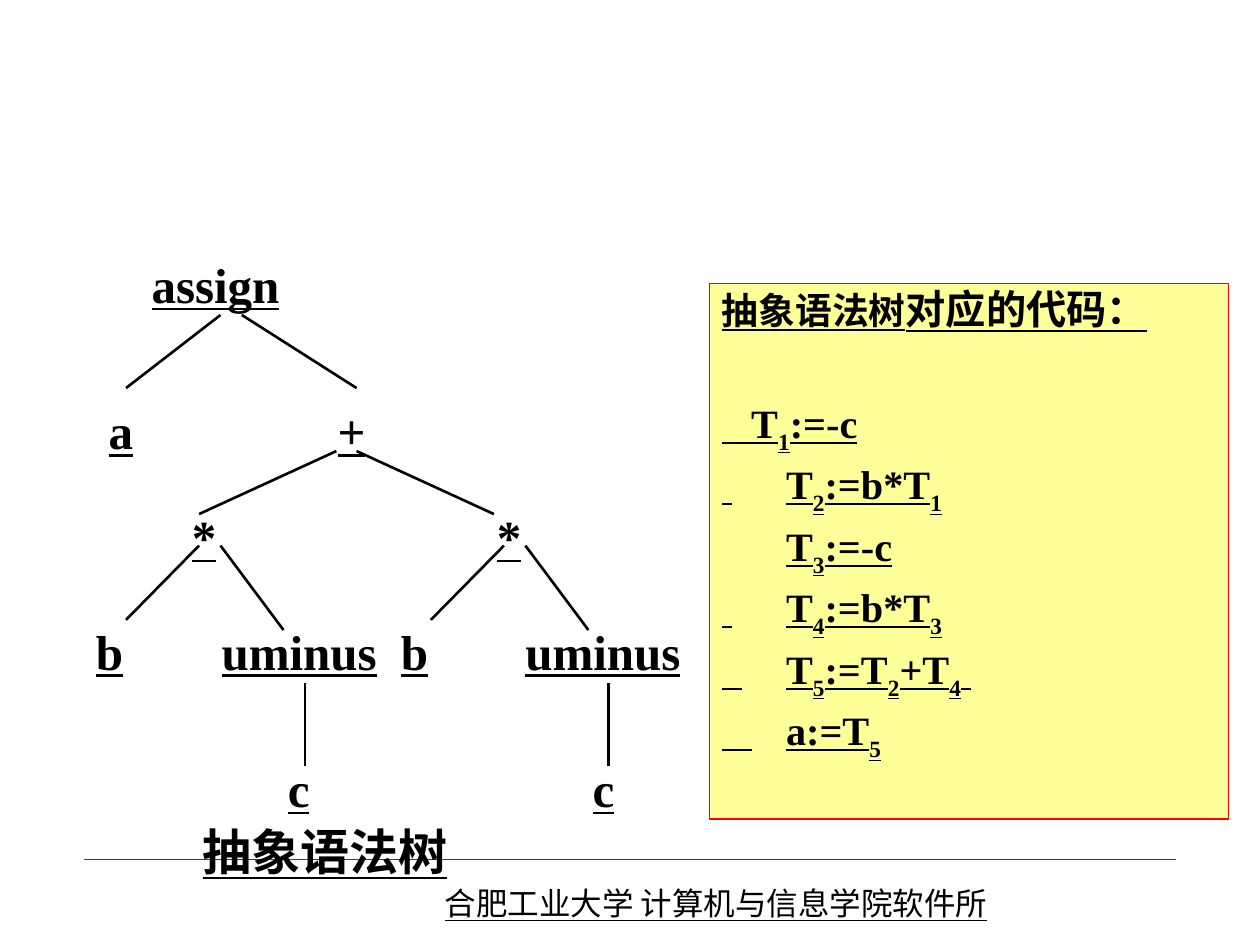
from lxml import etree
from pptx import Presentation
from pptx import util as u
from pptx.dml.color import RGBColor
from pptx.enum import shapes, text
from pptx.oxml.ns import qn

BLACK = RGBColor(0, 0, 0)
RED = RGBColor(0xFF, 0, 0)
RULE = RGBColor(0xCC, 0, 0)
YELLOW = RGBColor(0xFF, 0xFF, 0x99)
SERIF, HAN = "Times New Roman", "Noto Sans CJK SC"

# The grid has 12 units to the inch; nodes are (label, left, top[, width])
UNIT = 1 / 12
NODE_W, NODE_H = 13, 8
TOP = [("assign", 14, 23), ("a", 5, 37), ("+", 27, 37)]
TOP_EDGES = [(21, 30, 12, 37), (23, 30, 34, 37),
             (32, 43, 19, 49), (34, 43, 47, 49)]
# The product subtree stands twice, one step apart
STEP = 29
SUB = [("*", 13, 47), ("b", 4, 58), ("uminus", 20.5, 58, 16), ("c", 22, 71)]
SUB_EDGES = [(19, 52, 12, 59), (21, 52, 27, 60), (29, 65, 29, 73)]

CAPTION = ("抽象语法树", 19, 77, 24)
HEAD = [("抽象语法树", 21), ("对应的代码：", 23)]
# An underscore marks the next character as a subscript
CODE = ["   T_1:=-c", " \tT_2:=b*T_1", "\tT_3:=-c", " \tT_4:=b*T_3",
        "  \tT_5:=T_2+T_4 ", "   \ta:=T_5"]
FOOT = "合肥工业大学 计算机与信息学院软件所"

deck = Presentation()
deck.slide_width, deck.slide_height = u.Inches(10), u.Inches(7.5)
page = deck.slides.add_slide(deck.slide_layouts[6])


def grid(*units):
    return [u.Inches(round(n * UNIT, 2)) for n in units]


def add_run(para, words, size, face=SERIF, bold=True, sub=False):
    run = para.add_run()
    run.text = words
    font = run.font
    font.name, font.size, font.bold = face, u.Pt(size), bold
    font.underline = True
    font.color.rgb = BLACK
    props = run._r.get_or_add_rPr()
    etree.SubElement(props, qn("a:ea")).set("typeface", HAN)
    if sub:
        props.set("baseline", "-30000")


def add_line(ends, color=BLACK, width=1.5):
    line = page.shapes.add_connector(shapes.MSO_CONNECTOR.STRAIGHT, *grid(*ends))
    line.line.color.rgb = color
    line.line.width = u.Pt(width)
    etree.SubElement(line._element.spPr, qn("a:effectLst"))


def add_label(words, left, top, width=NODE_W):
    box = page.shapes.add_textbox(*grid(left, top, width, NODE_H))
    frame = box.text_frame
    frame.word_wrap = False
    frame.margin_left = frame.margin_right = 0
    frame.vertical_anchor = text.MSO_ANCHOR.MIDDLE
    para = frame.paragraphs[0]
    para.alignment = text.PP_ALIGN.CENTER
    add_run(para, words, 28)


def add_para(frame, first=False, before=5.9):
    para = frame.paragraphs[0] if first else frame.add_paragraph()
    para.alignment = text.PP_ALIGN.JUSTIFY
    para.line_spacing = 0.9
    if not first:
        para.space_before = u.Pt(before)
    props = para._p.get_or_add_pPr()
    props.set("marL", str(u.Inches(0.51)))
    props.set("indent", str(-u.Inches(0.51)))
    return para


# Footer
add_line((8, 81.84, 112, 81.84), RULE, 0.25)
foot = page.shapes.add_textbox(*map(u.Inches, (3.43, 6.97, 5.04, 0.4)))
foot.text_frame.word_wrap = True
add_run(foot.text_frame.paragraphs[0], FOOT, 18, HAN, False)

# Code panel
panel = page.shapes.add_shape(shapes.MSO_SHAPE.RECTANGLE,
                              *map(u.Inches, (5.63, 2.25, 4.12, 4.25)))
panel.shadow.inherit = False
panel.fill.solid()
panel.fill.fore_color.rgb = YELLOW
panel.line.color.rgb = RED
panel.line.width = u.Pt(0.75)
frame = panel.text_frame
frame.word_wrap = True
frame.vertical_anchor = text.MSO_ANCHOR.TOP
para = add_para(frame, first=True)
for words, size in HEAD:
    add_run(para, words, size)
for row, code in enumerate(CODE):
    para = add_para(frame, before=5.9 if row else 37)
    start, *rest = code.split("_")
    add_run(para, start, 23)
    for part in rest:
        add_run(para, part[0], 23, sub=True)
        if part[1:]:
            add_run(para, part[1:], 23)

# Syntax tree
for edge in TOP_EDGES:
    add_line(edge)
for node in TOP:
    add_label(*node)
for shift in (0, STEP):
    for x1, y1, x2, y2 in SUB_EDGES:
        add_line((x1 + shift, y1, x2 + shift, y2))
    for label, left, *rest in SUB:
        add_label(label, left + shift, *rest)
add_label(*CAPTION)

deck.save("out.pptx")
